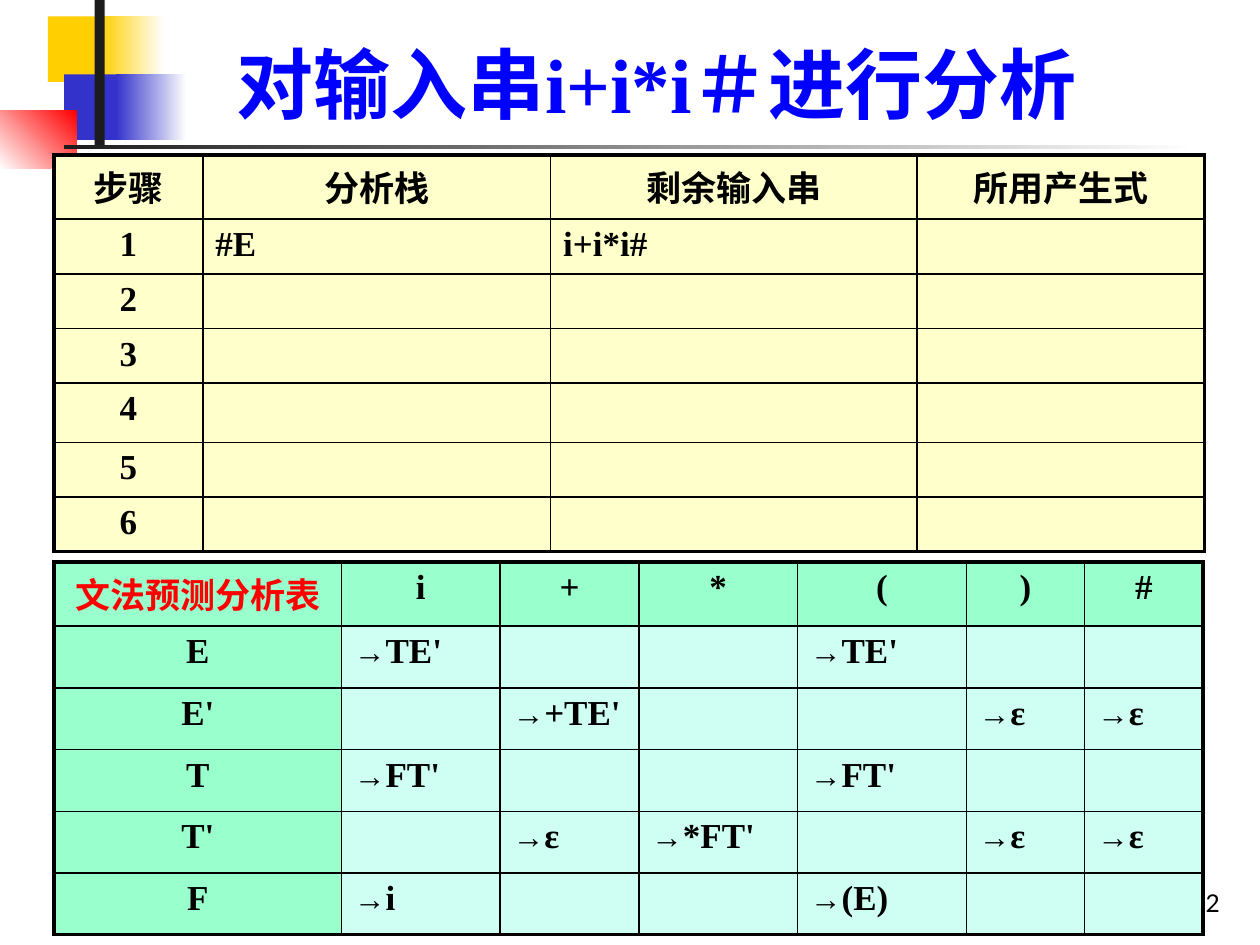
from lxml import etree
from pptx import Presentation
from pptx.dml.color import RGBColor
from pptx.enum.shapes import MSO_SHAPE
from pptx.enum.text import MSO_ANCHOR, PP_ALIGN
from pptx.oxml.ns import qn
from pptx.util import Inches, Pt

RECTANGLE = MSO_SHAPE.RECTANGLE
BOTTOM = MSO_ANCHOR.BOTTOM
LEFT, CENTER, RIGHT = PP_ALIGN.LEFT, PP_ALIGN.CENTER, PP_ALIGN.RIGHT
SERIF = "Times New Roman"
COLORS = {
    "gold": "FFCF01", "indigo": "3333CC", "red": "FF0000", "white": "FFFFFF",
    "charcoal": "1C1C1C", "black": "000000", "blue": "0000FF",
    "cream": "FFFFCC", "mint": "99FFCC", "aqua": "CFFFF2",
}


def add_run(paragraph, text, size, color="black", font=SERIF, bold=True):
    run = paragraph.add_run()
    run.text = text
    run.font.size = Pt(size)
    run.font.name = font
    run.font.bold = bold
    run.font.color.rgb = RGBColor.from_string(COLORS[color])


def style_cell(cell, fill, outer_sides):
    properties = cell._tc.get_or_add_tcPr()
    for side in "LRTB":
        width = Pt(2.25 if side in outer_sides else 1)
        line = etree.SubElement(properties, qn(f"a:ln{side}"), w=str(width))
        solid = etree.SubElement(line, qn("a:solidFill"))
        etree.SubElement(solid, qn("a:srgbClr"), val=COLORS["black"])
    cell.fill.solid()
    cell.fill.fore_color.rgb = RGBColor.from_string(COLORS[fill])


prs = Presentation()
prs.slide_width, prs.slide_height = Inches(10), Inches(7.5)
slide = prs.slides.add_slide(prs.slide_layouts[6])

decorations = [
    (0.38, 0.13, 0.67, 0.52, ["gold"], 0),
    (0.8, 0.13, 0.5, 0.52, ["gold", "white"], 0),
    (0.51, 0.59, 0.64, 0.52, ["indigo"], 0),
    (0.92, 0.59, 0.56, 0.52, ["indigo", "white"], 0),
    (0, 0.88, 0.61, 0.46, ["white", "red"], 45),
    (0.75, 0, 0.08, 1.15, ["charcoal"], 0),
    (0.51, 1.15, 9, 0.03, ["charcoal", "white"], 0),
]
for left, top, width, height, shades, angle in decorations:
    block = slide.shapes.add_shape(
        RECTANGLE, Inches(left), Inches(top), Inches(width), Inches(height))
    block.shadow.inherit = False
    block.line.fill.background()
    if len(shades) == 1:
        block.fill.solid()
        block.fill.fore_color.rgb = RGBColor.from_string(COLORS[shades[0]])
    else:
        block.fill.gradient()
        block.fill.gradient_angle = angle
        for stop, shade in zip(block.fill.gradient_stops, shades):
            stop.color.rgb = RGBColor.from_string(COLORS[shade])

labels = [
    (7.7, 6.83, 2.08, 0.5, "42", RIGHT, 14, "black", "Lato", False),
    (1.26, 0.23, 7.91, 0.84, "对输入串i+i*i＃进行分析", CENTER, 44, "blue", SERIF, True),
]
for left, top, width, height, text, align, size, color, font, bold in labels:
    frame = slide.shapes.add_textbox(
        Inches(left), Inches(top), Inches(width), Inches(height)).text_frame
    frame.word_wrap = True
    frame.vertical_anchor = BOTTOM
    frame.paragraphs[0].alignment = align
    add_run(frame.paragraphs[0], text, size, color, font, bold)

prediction_rows = [
    ["文法预测分析表", "i", "+", "*", "(", ")", "#"],
    ["E", "→TE'", "", "", "→TE'", "", ""],
    ["E'", "", "→+TE'", "", "", "→ε", "→ε"],
    ["T", "→FT'", "", "", "→FT'", "", ""],
    ["T'", "", "→ε", "→*FT'", "", "→ε", "→ε"],
    ["F", "→i", "", "", "→(E)", "", ""],
]
step_rows = [
    ["步骤", "分析栈", "剩余输入串", "所用产生式"],
    ["1", "#E", "i+i*i#", ""],
] + [[str(step), "", "", ""] for step in range(2, 7)]

tables = [
    (4.46, prediction_rows, [2.28, 1.26, 1.1, 1.26, 1.34, 0.94, 0.94],
     [0.51] + [0.49] * 5, "mint", "aqua", "red"),
    (1.23, step_rows, [1.18, 2.76, 2.91, 2.28],
     [0.51] + [0.41] * 3 + [0.47] + [0.41] * 2, "cream", "cream", "black"),
]
for top, rows, widths, heights, head_fill, body_fill, corner_color in tables:
    table = slide.shapes.add_table(
        len(rows), len(widths), Inches(0.43), Inches(top),
        Inches(sum(widths)), Inches(sum(heights))).table
    table.first_row = table.horz_banding = False
    for column, width in zip(table.columns, widths):
        column.width = Inches(width)
    for row, height in zip(table.rows, heights):
        row.height = Inches(height)
    for r, row in enumerate(rows):
        for c, text in enumerate(row):
            cell = table.cell(r, c)
            edges = {"L": c == 0, "R": c == len(row) - 1,
                     "T": r == 0, "B": r == len(rows) - 1}
            is_head = r == 0 or c == 0
            style_cell(cell, head_fill if is_head else body_fill,
                       [side for side, outer in edges.items() if outer])
            paragraph = cell.text_frame.paragraphs[0]
            paragraph.alignment = CENTER if is_head else LEFT
            if text.startswith("→"):
                add_run(paragraph, "→", 18)
                add_run(paragraph, text[1:], 20)
            elif text:
                add_run(paragraph, text, 20, corner_color if r == c == 0 else "black")

prs.save("out.pptx")
